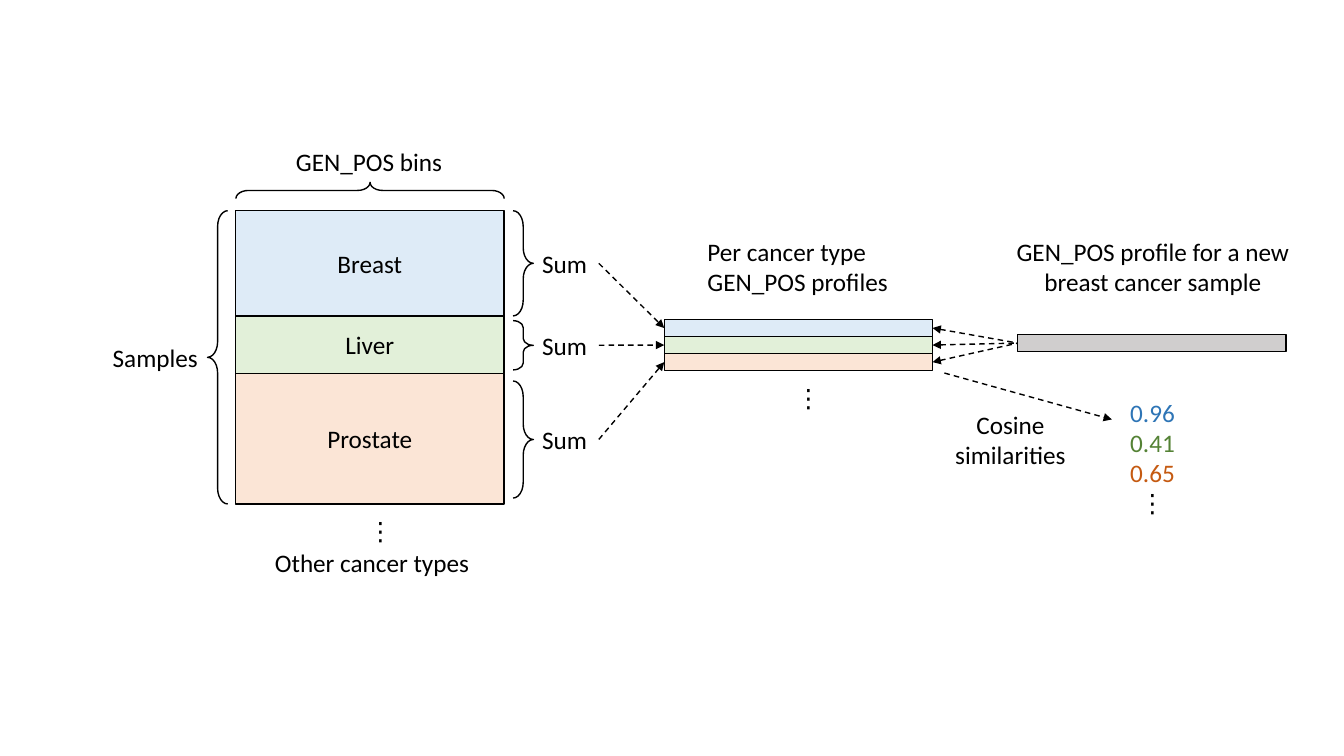
"""Build a slide showing how cancer type profiles are compared with a new sample."""
from lxml.etree import SubElement
from pptx import Presentation
from pptx.dml.color import RGBColor
from pptx.enum.dml import MSO_LINE
from pptx.enum.shapes import MSO_CONNECTOR, MSO_SHAPE
from pptx.enum.text import MSO_ANCHOR, MSO_AUTO_SIZE, PP_ALIGN
from pptx.oxml.ns import qn
from pptx.util import Cm, Pt

BLACK, GREY = "000000", "D0CECE"
LEFT, CENTER = PP_ALIGN.LEFT, PP_ALIGN.CENTER
FONT = {"name": "Calibri", "size": Pt(18)}

# name, fill, height, brace top, brace height, brace curve
CANCERS = [
    ("Breast", "DEEBF7", 2.65, 5.31, 2.65, 0.775),
    ("Liver", "E2F0D9", 1.46, 8.08, 1.24, 0.339),
    ("Prostate", "FBE5D6", 3.28, 9.6, 2.95, 0.775),
]
# left, top, width, height, alignment, (text, colour) lines
LABELS = [
    (2.59, 8.51, 2.69, 1.02, LEFT, [("Samples", BLACK)]),
    (7.21, 3.56, 4.24, 1.02, LEFT, [("GEN_POS bins", BLACK)]),
    (9.02, 12.85, 0.71, 1.02, LEFT, [("⋮", BLACK)]),
    (6.68, 13.67, 5.46, 1.02, LEFT, [("Other cancer types", BLACK)]),
    (17.58, 5.82, 5.11, 1.8, LEFT,
     [("Per cancer type", BLACK), ("GEN_POS profiles", BLACK)]),
    (19.81, 9.5, 0.71, 1.02, LEFT, [("⋮", BLACK)]),
    (25.32, 5.82, 7.47, 1.8, CENTER,
     [("GEN_POS profile for a new", BLACK), ("breast cancer sample", BLACK)]),
    (23.8, 10.19, 3.33, 1.8, CENTER, [("Cosine", BLACK), ("similarities", BLACK)]),
    (28.22, 9.88, 1.65, 3.33, CENTER,
     [("0.96", "2E75B6"), ("0.41", "548235"), ("0.65", "C55A11"), ("⋮", BLACK)]),
]
MATRIX_LEFT, MATRIX_TOP, BAR_WIDTH, BAR_HEIGHT = 5.94, 5.31, 6.76, 0.43
PROFILE_LEFT, PROFILE_TOP = 16.74, 8.05
SAMPLE_LEFT, SAMPLE_TOP = 25.65, 8.43
BRACE_LEFT, BRACE_WIDTH = 12.93, 0.51
SUM_LEFT, SUM_WIDTH, SUM_HEIGHT = 13.41, 1.65, 1.02
ARROW_LEFT = 15.09

deck = Presentation()
deck.slide_width, deck.slide_height = Cm(33.87), Cm(19.05)
page = deck.slides.add_slide(deck.slide_layouts[6])


def paint(target, colour):
    target.rgb = RGBColor.from_string(colour)


def write(frame, lines, align):
    for index, (text, colour) in enumerate(lines):
        para = frame.paragraphs[0] if index == 0 else frame.add_paragraph()
        para.alignment = align
        span = para.add_run()
        span.text = text
        for key, value in FONT.items():
            setattr(span.font, key, value)
        paint(span.font.color, colour)


def outline(item):
    item.line.width = Pt(1)
    item.line.fill.solid()
    paint(item.line.color, BLACK)


def add_bar(left, top, height, colour, text=None):
    box = page.shapes.add_shape(
        MSO_SHAPE.RECTANGLE, Cm(left), Cm(top), Cm(BAR_WIDTH), Cm(height))
    box.shadow.inherit = False
    box.fill.solid()
    paint(box.fill.fore_color, colour)
    outline(box)
    if text:
        box.text_frame.vertical_anchor = MSO_ANCHOR.MIDDLE
        write(box.text_frame, [(text, BLACK)], CENTER)


def add_brace(left, top, width, height, rotation=0, curve=0.775):
    brace = page.shapes.add_shape(
        MSO_SHAPE.LEFT_BRACE, Cm(left), Cm(top), Cm(width), Cm(height))
    brace.shadow.inherit = False
    brace.fill.background()
    brace.rotation = rotation
    brace.adjustments[0] = curve
    outline(brace)


def add_label(left, top, width, height, align, lines):
    box = page.shapes.add_textbox(Cm(left), Cm(top), Cm(width), Cm(height))
    box.text_frame.word_wrap = False
    box.text_frame.auto_size = MSO_AUTO_SIZE.SHAPE_TO_FIT_TEXT
    write(box.text_frame, lines, align)


def add_arrow(start_x, start_y, end_x, end_y, tip="a:tailEnd"):
    arrow = page.shapes.add_connector(
        MSO_CONNECTOR.STRAIGHT, Cm(start_x), Cm(start_y), Cm(end_x), Cm(end_y))
    outline(arrow)
    arrow.line.dash_style = MSO_LINE.DASH
    SubElement(arrow.line._get_or_add_ln(), qn(tip), type="triangle")
    SubElement(arrow._element.spPr, qn("a:effectLst"))


def main():
    row_top = MATRIX_TOP
    sample_middle = SAMPLE_TOP + BAR_HEIGHT / 2
    for index, (name, colour, height, brace_top, brace_height, curve) in enumerate(CANCERS):
        profile_top = PROFILE_TOP + index * BAR_HEIGHT
        profile_middle = profile_top + BAR_HEIGHT / 2
        sum_middle = brace_top + brace_height / 2
        add_bar(MATRIX_LEFT, row_top, height, colour, name)
        add_bar(PROFILE_LEFT, profile_top, BAR_HEIGHT, colour)
        add_brace(BRACE_LEFT, brace_top, BRACE_WIDTH, brace_height, 180, curve)
        add_label(SUM_LEFT, sum_middle - SUM_HEIGHT / 2, SUM_WIDTH, SUM_HEIGHT,
                  LEFT, [("Sum", BLACK)])
        add_arrow(ARROW_LEFT, sum_middle, PROFILE_LEFT, profile_middle)
        add_arrow(PROFILE_LEFT + BAR_WIDTH, profile_middle,
                  SAMPLE_LEFT, sample_middle, "a:headEnd")
        row_top += height
    add_brace(5.23, MATRIX_TOP, BRACE_WIDTH, row_top - MATRIX_TOP)
    add_brace(9.12, 1.42, 0.41, BAR_WIDTH, 90)
    add_bar(SAMPLE_LEFT, SAMPLE_TOP, BAR_HEIGHT, GREY)
    add_arrow(23.8, 9.4, 28.02, 10.57)
    for label in LABELS:
        add_label(*label)
    deck.save("out.pptx")


if __name__ == "__main__":
    main()
